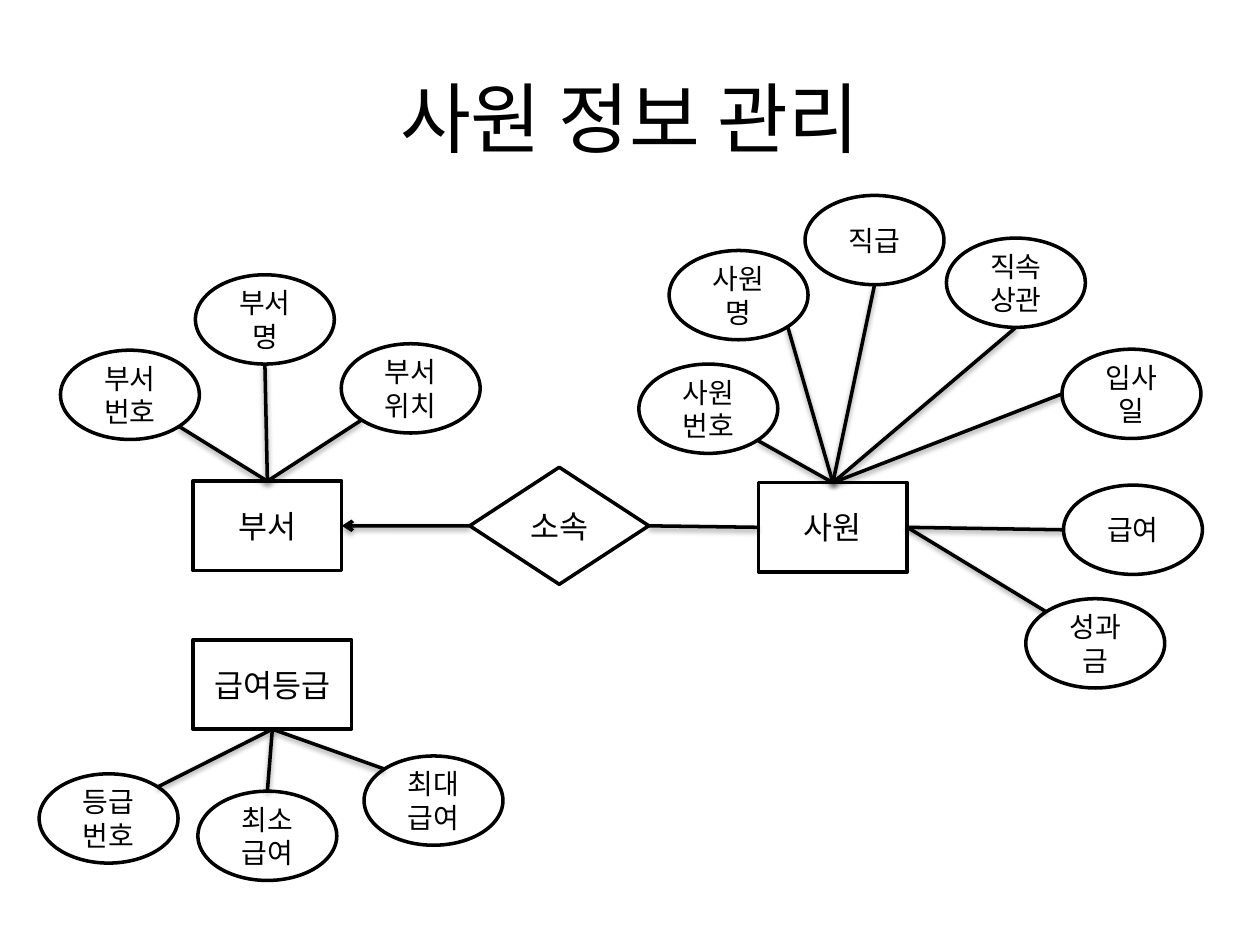
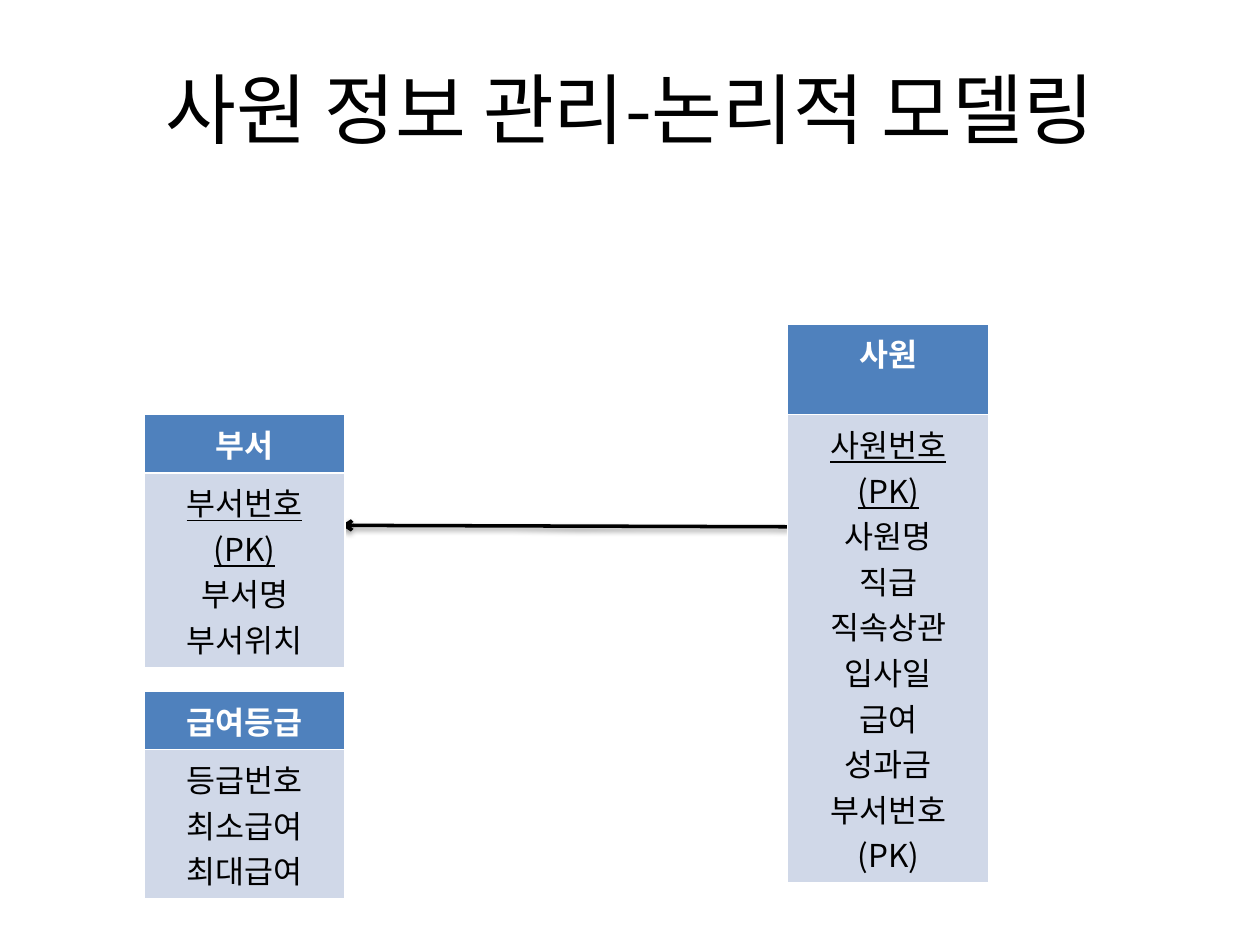
import math

from lxml import etree
from pptx import Presentation
from pptx.dml.color import RGBColor
from pptx.enum import shapes, text
from pptx.oxml import ns
from pptx.util import Cm, Pt

FONT = "Noto Sans CJK KR"
BLACK, WHITE = "000000", "FFFFFF"
HEADER_FILL, BODY_FILL = "4F81BD", "D0D8E8"
LINE_WIDTH = Pt(2)
colour = RGBColor.from_string


def format_text(frame, size, hex_colour=BLACK, bold=False):
    """Centre every paragraph and style its runs, Hangul included."""
    for para in frame.paragraphs:
        para.alignment = text.PP_ALIGN.CENTER
        for span in para.runs:
            span.font.name = FONT
            span.font.size = Pt(size)
            span.font.bold = bold
            span.font.color.rgb = colour(hex_colour)
            east_asian = etree.SubElement(span.font._element, ns.qn("a:ea"))
            east_asian.set("typeface", FONT)


def draw_line(page, start, end, arrow=False):
    """Draw a black straight line with a soft shadow; points are in cm."""
    line = page.shapes.add_connector(
        shapes.MSO_CONNECTOR.STRAIGHT, *[Cm(value) for value in (*start, *end)])
    line.line.color.rgb = colour(BLACK)
    line.line.width = LINE_WIDTH
    if arrow:
        outline = line.line._get_or_add_ln()
        etree.SubElement(outline, ns.qn("a:tailEnd"), type="arrow")
    effects = etree.SubElement(line._element.spPr, ns.qn("a:effectLst"))
    shadow = etree.SubElement(effects, ns.qn("a:outerShdw"), blurRad="40000",
                              dist="20000", dir="5400000", rotWithShape="0")
    black = etree.SubElement(shadow, ns.qn("a:srgbClr"), val=BLACK)
    etree.SubElement(black, ns.qn("a:alpha"), val="38000")
    return line


deck = Presentation()
deck.slide_width, deck.slide_height = Cm(25.4), Cm(19.05)

pages = []
for title_text, top in [("사원 정보 관리", 0.76), ("사원 정보 관리-논리적 모델링", 0.58)]:
    page = deck.slides.add_slide(deck.slide_layouts[5])
    title = page.shapes.title
    title.left, title.top, title.width, title.height = Cm(1.27), Cm(top), Cm(22.86), Cm(3.18)
    title.text_frame.text = title_text
    title.text_frame.vertical_anchor = text.MSO_ANCHOR.MIDDLE
    format_text(title.text_frame, 44)
    pages.append(page)
diagram_page, table_page = pages

# Entity-relationship diagram
TOP, LEFT, BOTTOM, RIGHT = range(4)
OVAL_WIDTH, OVAL_HEIGHT = 2.8, 1.8
RECTANGLE = shapes.MSO_SHAPE.RECTANGLE
DIAMOND = shapes.MSO_SHAPE.DIAMOND
OVAL = shapes.MSO_SHAPE.OVAL

# attribute, left, top, angle on the oval (clockwise from the right), entity, entity side
attributes = [
    ("부서번호", 1.22, 7.06, 45, "부서", TOP),
    ("부서명", 3.94, 5.54, 90, "부서", TOP),
    ("부서위치", 6.88, 6.93, 135, "부서", TOP),
    ("사원번호", 12.88, 7.34, 45, "사원", TOP),
    ("사원명", 13.49, 5.05, 45, "사원", TOP),
    ("직급", 16.23, 3.94, 90, "사원", TOP),
    ("직속상관", 19.08, 4.8, 90, "사원", TOP),
    ("입사일", 21.41, 7.04, 180, "사원", TOP),
    ("급여", 21.44, 9.78, 180, "사원", RIGHT),
    ("성과금", 20.68, 12.07, 225, "사원", RIGHT),
    ("최소급여", 3.99, 15.95, 270, "급여등급", BOTTOM),
    ("등급번호", 0.79, 15.6, 315, "급여등급", BOTTOM),
    ("최대급여", 7.34, 15.24, 225, "급여등급", BOTTOM),
]
nodes = [
    ("부서", RECTANGLE, 3.89, 9.7, 3, 1.8, 18),
    ("사원", RECTANGLE, 15.29, 9.73, 3, 1.8, 18),
    ("급여등급", RECTANGLE, 3.89, 12.9, 3.2, 1.8, 18),
    ("소속", DIAMOND, 9.47, 9.42, 3.61, 2.36, 18),
]
nodes += [(label, OVAL, left, top, OVAL_WIDTH, OVAL_HEIGHT, 16)
          for label, left, top, *_ in attributes]

boxes = {}
for label, preset, left, top, width, height, size in nodes:
    box = diagram_page.shapes.add_shape(preset, Cm(left), Cm(top), Cm(width), Cm(height))
    box.shadow.inherit = False
    box.fill.solid()
    box.fill.fore_color.rgb = colour(WHITE)
    box.line.color.rgb = colour(BLACK)
    box.line.width = LINE_WIDTH
    box.text_frame.text = label
    box.text_frame.vertical_anchor = text.MSO_ANCHOR.MIDDLE
    format_text(box.text_frame, size)
    boxes[label] = box

for label, left, top, angle, entity, side in attributes:
    turn = math.radians(angle)
    edge = (left + OVAL_WIDTH / 2 * (1 + math.cos(turn)),
            top + OVAL_HEIGHT / 2 * (1 + math.sin(turn)))
    draw_line(diagram_page, edge, edge).end_connect(boxes[entity], side)

for entity, diamond_side, entity_side, arrow in [("사원", RIGHT, LEFT, False),
                                                 ("부서", LEFT, RIGHT, True)]:
    relation = draw_line(diagram_page, (0, 0), (1, 1), arrow)
    relation.begin_connect(boxes["소속"], diamond_side)
    relation.end_connect(boxes[entity], entity_side)

# Logical model
draw_line(table_page, (15.88, 10.62), (6.88, 10.59), arrow=True)

# entity, left, top, header height, columns, whether the first one is underlined as key
entities = [
    ("부서", 2.9, 8.36, 1.12, ["부서번호(PK)", "부서명", "부서위치"], True),
    ("사원", 15.88, 6.53, 1.83,
     ["사원번호(PK)", "사원명", "직급", "직속상관", "입사일", "급여", "성과금", "부서번호(PK)"], True),
    ("급여등급", 2.9, 13.94, 1.12, ["등급번호", "최소급여", "최대급여"], False),
]
BODY_HEIGHT = 2.97
for name, left, top, header_height, columns, has_key in entities:
    table = table_page.shapes.add_table(
        2, 1, Cm(left), Cm(top), Cm(4.06), Cm(header_height + BODY_HEIGHT)).table
    rows = [(name, header_height, HEADER_FILL, WHITE, True),
            ("\n".join(columns), BODY_HEIGHT, BODY_FILL, BLACK, False)]
    for index, (content, height, fill, font_colour, bold) in enumerate(rows):
        table.rows[index].height = Cm(height)
        cell = table.cell(index, 0)
        cell.fill.solid()
        cell.fill.fore_color.rgb = colour(fill)
        cell.text_frame.text = content
        format_text(cell.text_frame, 18, font_colour, bold)
    if has_key:
        table.cell(1, 0).text_frame.paragraphs[0].runs[0].font.underline = True

deck.save("out.pptx")
